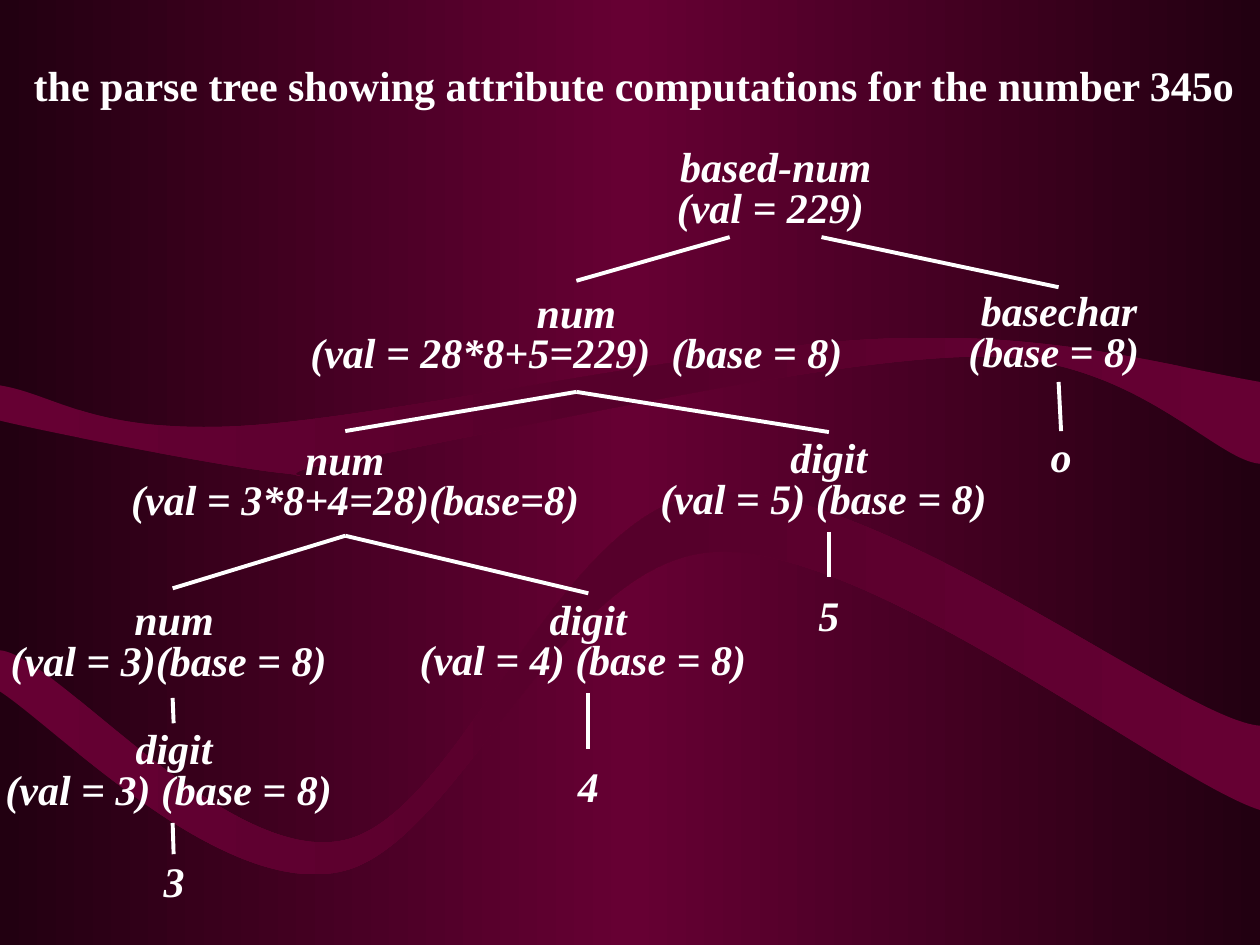
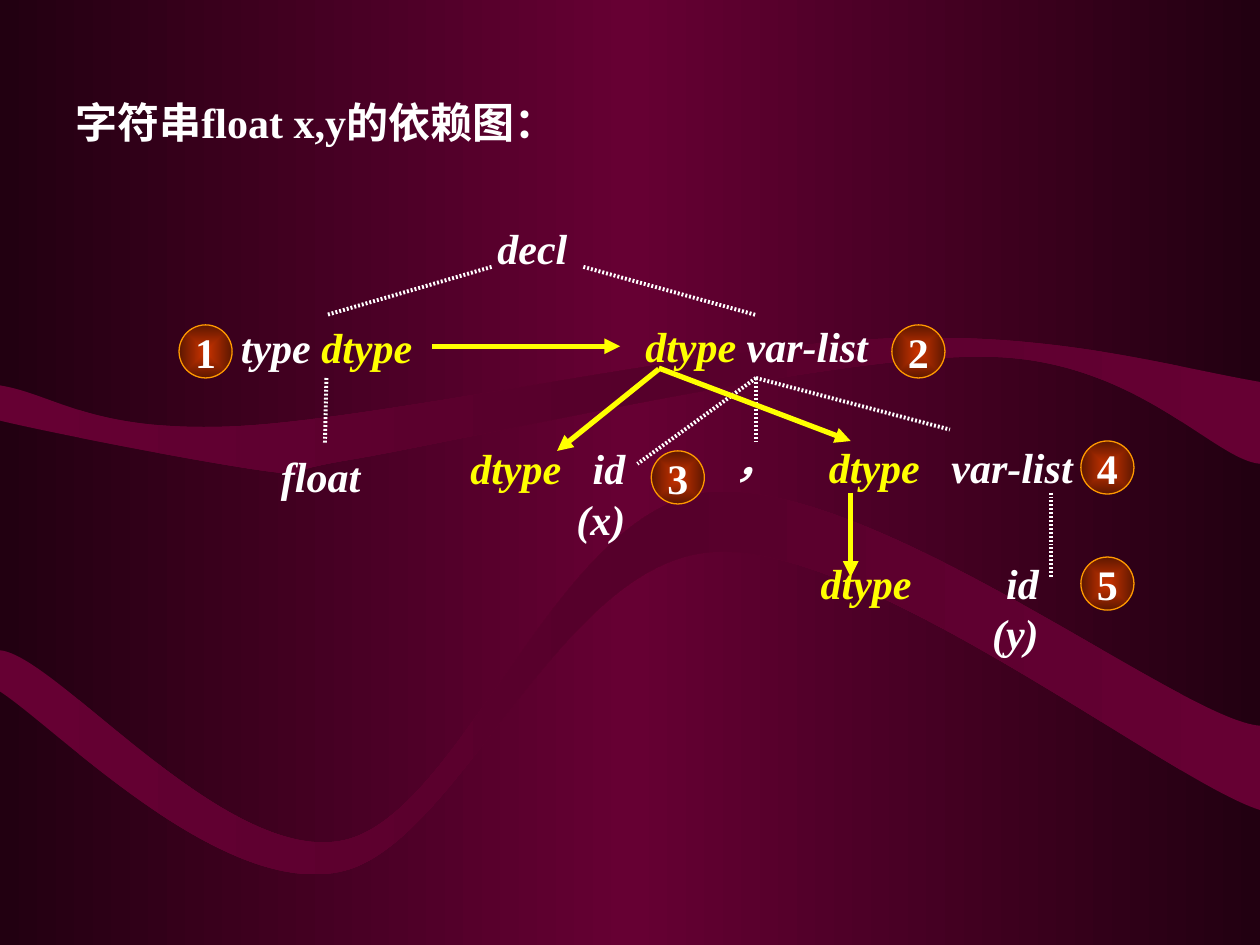
import copy
import pptx
import pptx.dml.color
import pptx.enum.shapes
import pptx.enum.text
import pptx.oxml.ns
import pptx.util
from lxml import etree

Cm = pptx.util.Cm
Pt = pptx.util.Pt
qn = pptx.oxml.ns.qn
Align = pptx.enum.text.PP_ALIGN

WHITE, YELLOW = "FFFFFF", "FFFF00"
DARK, WINE, PLUM = "220011", "660033", "56002B"
RUST, BROWN, AMBER = "CC3300", "5E1700", "FF9900"

FONT = {"name": "Times New Roman", "size": Pt(24), "bold": True}
FRAME = {"margin_left": Cm(0.25), "margin_right": Cm(0.25),
         "margin_top": Cm(0.13), "margin_bottom": Cm(0.13),
         "word_wrap": False,
         "auto_size": pptx.enum.text.MSO_AUTO_SIZE.NONE,
         "vertical_anchor": pptx.enum.text.MSO_ANCHOR.MIDDLE}
HEAD = {**FRAME, "word_wrap": True}

BANDS = [
    ([(0, 8.48), (0.94, 8.71), (4.45, 9.4), (5.64, 9.53), (6.83, 9.65),
      (4.83, 9.63), (7.16, 9.25), (9.53, 8.84), (16.76, 7.16),
      (19.81, 7.19), (22.86, 7.19), (24.46, 9.27), (25.4, 9.35)],
     [(25.4, 7.7), (23.5, 7.37), (21.23, 6.68), (17.81, 6.83),
      (14.38, 6.96), (7.8, 8.43), (4.83, 8.59), (1.85, 8.74),
      (1.12, 7.95), (0, 7.77)]),
    ([(0, 13.94), (1.14, 14.68), (4.42, 18.06), (6.83, 17.58),
      (9.22, 17.12), (11.25, 11.33), (14.35, 11.13), (17.45, 10.9),
      (23.55, 15.75), (25.4, 16.33)],
     [(25.4, 14.63), (23.83, 14.53), (17.55, 9.58), (14.27, 9.93),
      (11.2, 10.31), (9.32, 16.41), (6.93, 16.94), (4.55, 17.45),
      (1.14, 13.21), (0, 13.11)]),
]

NODES = [
    ((10.31, 5.66, 2.62, 2.24),
     [["num"], ["(val = 28*8+5=229)", 12, "(base = 8)"]]),
    ((5.64, 8.69, 2.62, 2.11),
     [["num"], [12, "(val = 3*8+4=28)(base=8)"]]),
    ((15.44, 8.71, 2.54, 2.01), [["digit"], ["(val = 5) (base = 8) "]]),
    ((14.33, 2.54, 2.62, 2.62), [["based-num"], ["(val = 229) "]]),
    ((20.04, 5.79, 2.62, 1.93), [["basechar"], ["(base = 8) "]]),
    ((2.24, 11.86, 2.54, 2.24), [["num"], ["(val = 3)(base = 8) "]]),
    ((2.24, 17.22, 2.54, 1.27), [["3"]]),
    ((15.44, 11.63, 2.54, 1.7), [["5"]]),
    ((20.12, 8.69, 2.54, 1.19), [["o"]]),
    ((10.59, 11.96, 2.54, 2.01), [["digit"], ["(val = 4) (base = 8) "]]),
    ((10.59, 15.09, 2.54, 1.7), [["4"]]),
    ((2.24, 14.58, 2.54, 2.01), [["digit"], ["(val = 3) (base = 8) "]]),
]
EDGES = [
    (14.71, 4.78, 11.62, 5.66), (16.56, 4.78, 21.34, 5.79),
    (11.62, 7.9, 6.96, 8.69), (11.62, 7.9, 16.71, 8.71),
    (21.34, 7.7, 21.39, 8.69), (6.96, 10.8, 3.48, 11.86),
    (6.96, 10.8, 11.86, 11.96), (16.71, 10.72, 16.71, 11.63),
    (3.48, 14.07, 3.5, 14.58), (11.86, 13.97, 11.86, 15.09),
    (3.48, 16.59, 3.5, 17.22),
]

WORDS = [
    ((4.45, 6.35, 4.27, 1.27), [["type ", "dtype"]]),
    ((5.26, 8.94, 2.62, 1.3), [["float "]]),
    ((9.53, 4.45, 2.62, 1.09), [["decl "]]),
    ((12.5, 6.32, 5.51, 1.3), [["dtype", " var-list"]]),
    ((16.31, 8.66, 5.72, 1.5), [["dtype", 18, "var-list"]]),
    ((13.97, 8.89, 2.54, 0.81), [["，"]]),
]
NAMES = [
    ((8.89, 9.09, 4.65, 1.7), [["dtype", 18, "id"], ["(x)"]]),
    ((16.31, 11.35, 5.72, 1.8), [["dtype", 54, "id"], ["(y)"]]),
]
LINKS = [
    (11.76, 5.38, 15.24, 6.35), (9.91, 5.38, 6.58, 6.35),
    (6.58, 7.62, 6.55, 8.94), (15.24, 7.62, 12.85, 9.35),
    (15.24, 7.62, 15.24, 8.89), (15.24, 7.62, 19.15, 8.66),
    (21.18, 9.93, 21.18, 11.63),
]
FLOWS = [
    (8.71, 6.98, 12.5, 6.98), (13.28, 7.44, 11.23, 9.09),
    (13.28, 7.42, 17.15, 8.89), (17.15, 9.93, 17.15, 11.63),
]
STEPS = [(3.61, 6.55), (17.98, 6.55), (13.13, 9.09), (21.79, 8.89),
         (21.79, 11.23)]


def tint(code):
    return pptx.dml.color.RGBColor.from_string(code)


def style(item, values):
    for key, value in values.items():
        setattr(item, key, value)


def blend(fill, stops, square=False):
    fill.gradient()
    group = fill.gradient_stops[0]._gs.getparent()
    while len(group) < len(stops):
        group.append(copy.deepcopy(group[0]))
    for stop, (place, code) in zip(fill.gradient_stops, stops):
        stop.color.rgb = tint(code)
        stop.position = place
    if square:
        grad = group.getparent()
        grad.remove(grad.find(qn("a:lin")))
        shade = etree.SubElement(grad, qn("a:path"), {"path": "rect"})
        sides = dict.fromkeys("ltrb", "50000")
        etree.SubElement(shade, qn("a:fillToRect"), sides)
    else:
        fill.gradient_angle = 0


def bend(band, join):
    trace = band._element.find(".//" + qn("a:path"))
    lines = trace.findall(qn("a:lnTo"))
    del lines[join]
    for k in range(0, len(lines), 3):
        cubic = etree.Element(qn("a:cubicBezTo"))
        lines[k].addprevious(cubic)
        for line in lines[k:k + 3]:
            cubic.append(line[0])
            trace.remove(line)


def add_band(deck, slide, index, low, high):
    dots = [(Cm(x), Cm(y)) for x, y in low + high]
    pen = slide.shapes.build_freeform(*dots[0])
    pen.add_line_segments(dots[1:], close=True)
    band = pen.convert_to_shape()
    bend(band, len(low) - 1)
    band.shadow.inherit = False
    band.line.fill.background()
    blend(band.fill, [(0, WINE), (0.5, PLUM), (1, WINE)])
    band._element.nvSpPr.cNvPr.set("id", str(20 + index))
    deck.slide_master.shapes._spTree.insert(2 + index, band._element)


def add_head(deck, text, box, space=1.0):
    slide = deck.slides.add_slide(deck.slide_layouts[5])
    head = slide.shapes.title
    style(head, dict(zip(("left", "top", "width", "height"), map(Cm, box))))
    style(head.text_frame, HEAD)
    para = head.text_frame.paragraphs[0]
    style(para, {"alignment": Align.LEFT, "line_spacing": space})
    add_run(para, text, False)
    return slide


def add_run(para, piece, slant):
    run = para.add_run()
    style(run.font, {**FONT, "italic": slant})
    run.font.color.rgb = tint(YELLOW if piece == "dtype" else WHITE)
    if isinstance(piece, str):
        run.text = piece
    else:
        run.text = " "
        run._r.get_or_add_rPr().set("spc", str((piece - 6) * 100))


def add_oval(slide, box, lines, space=1.0, align=Align.CENTER, slant=True):
    kind = pptx.enum.shapes.MSO_SHAPE.OVAL
    oval = slide.shapes.add_shape(kind, *map(Cm, box))
    oval.shadow.inherit = False
    oval.fill.background()
    oval.line.fill.background()
    frame = oval.text_frame
    style(frame, FRAME)
    for n, line in enumerate(lines):
        para = frame.add_paragraph() if n else frame.paragraphs[0]
        style(para, {"alignment": align, "line_spacing": space})
        for piece in line:
            add_run(para, piece, slant)
    return oval


def add_badge(slide, x, y, text, size=1.07):
    badge = add_oval(slide, (x, y, size, size), [[text]], slant=False)
    blend(badge.fill, [(0, RUST), (1, BROWN)], square=True)
    badge.line.color.rgb = tint(AMBER)
    badge.line.width = Pt(0.75)


def add_line(slide, ends, code=WHITE, width=2.25, dots=False, arrow=False):
    kind = pptx.enum.shapes.MSO_CONNECTOR.STRAIGHT
    link = slide.shapes.add_connector(kind, *map(Cm, ends))
    link.line.color.rgb = tint(code)
    link.line.width = Pt(width)
    pen = link.line._get_or_add_ln()
    if dots:
        dash = etree.SubElement(pen, qn("a:custDash"))
        etree.SubElement(dash, qn("a:ds"), d="50000", sp="50000")
    if arrow:
        etree.SubElement(pen, qn("a:tailEnd"), type="triangle")
    etree.SubElement(link._element.spPr, qn("a:effectLst"))


def draw_tree(slide):
    for node in NODES:
        add_oval(slide, *node, space=0.8)
    for ends in EDGES:
        add_line(slide, ends)


def draw_graph(slide):
    for word in WORDS:
        add_oval(slide, *word)
    for name in NAMES:
        add_oval(slide, *name, align=Align.RIGHT)
    for ends in LINKS:
        add_line(slide, ends, dots=True)
    for ends in FLOWS:
        add_line(slide, ends, YELLOW, 3, arrow=True)
    for n, (x, y) in enumerate(STEPS, 1):
        add_badge(slide, x, y, str(n))


def main():
    deck = pptx.Presentation()
    style(deck, {"slide_width": Cm(25.4), "slide_height": Cm(19.05)})
    blend(deck.slide_master.background.fill,
          [(0, DARK), (0.5, WINE), (1, DARK)])
    tree = add_head(
        deck,
        "the parse tree showing attribute computations for the number 345o",
        (0.43, 1.27, 24.77, 1.07), 0.8)
    for index, (low, high) in enumerate(BANDS):
        add_band(deck, tree, index, low, high)
    draw_tree(tree)
    graph = add_head(deck, "字符串float x,y的依赖图：",
                     (1.27, 1.48, 22.43, 1.93))
    draw_graph(graph)
    deck.save("out.pptx")


if __name__ == "__main__":
    main()
